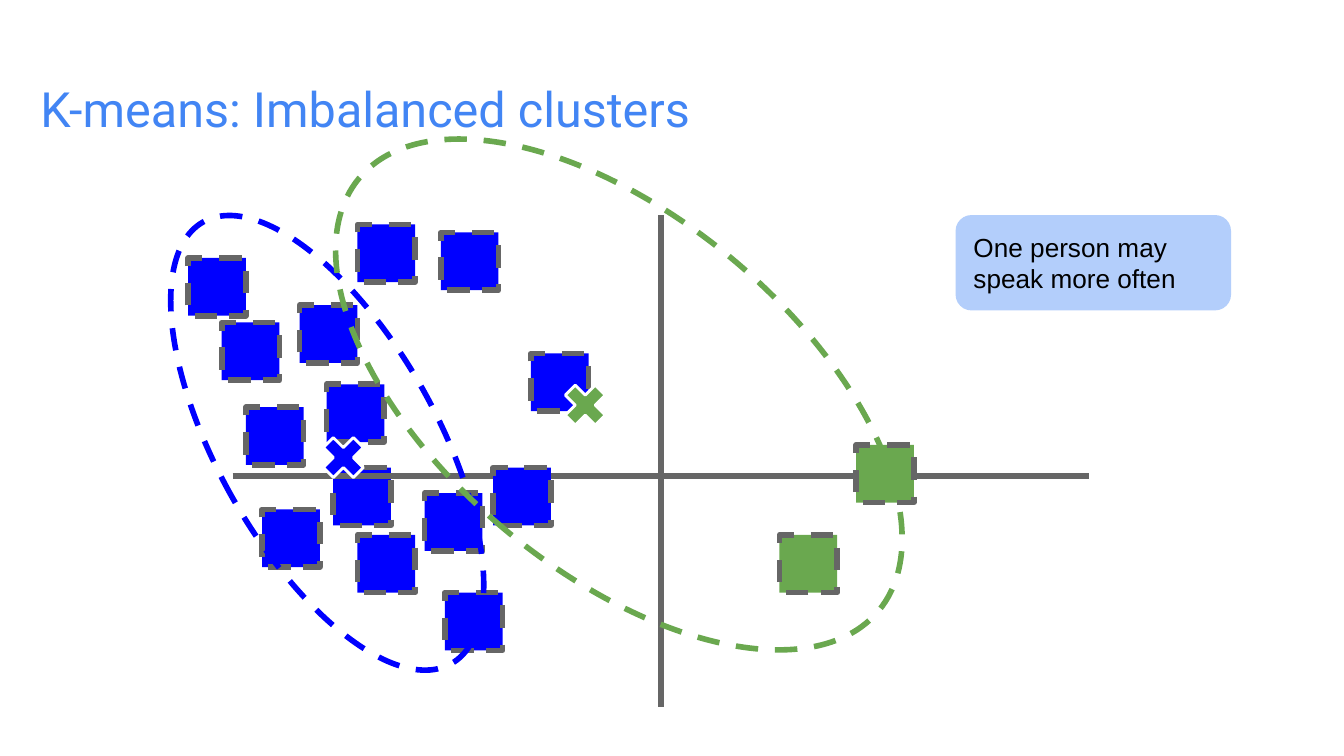
import pptx
import pptx.util
import pptx.dml.color
import pptx.enum.dml
import pptx.enum.shapes
import pptx.enum.text
import pptx.oxml.ns
from dataclasses import dataclass
from lxml import etree

Inches = pptx.util.Inches
Shape = pptx.enum.shapes.MSO_SHAPE
Anchor = pptx.enum.text.MSO_ANCHOR


@dataclass(frozen=True)
class Theme:
    title: str = "4285F4"
    note: str = "B3CEFB"
    text: str = "000000"
    axis: str = "666666"
    blue: str = "0000FF"
    green: str = "6AA84F"
    white: str = "FFFFFF"
    title_font: str = "Roboto"
    body_font: str = "Arial"
    title_size: int = 26
    body_size: int = 14
    stroke: float = 3
    thin_stroke: float = 1.5


THEME = Theme()
POINT_SIZE = 0.43
POINTS_BEHIND_AXES = [
    (5.8, 3.98, THEME.green),
    (3.16, 3.67, THEME.blue),
    (2.43, 2.86, THEME.blue),
    (2.23, 2.27, THEME.blue),
    (2.48, 3.48, THEME.blue),
]
POINTS_OVER_AXES = [
    (2.66, 3.98, THEME.blue),
    (1.95, 3.79, THEME.blue),
    (1.83, 3.03, THEME.blue),
    (1.65, 2.4, THEME.blue),
    (6.37, 3.31, THEME.green),
    (3.31, 4.41, THEME.blue),
    (1.4, 1.92, THEME.blue),
    (3.28, 1.73, THEME.blue),
    (2.66, 1.67, THEME.blue),
    (3.95, 2.63, THEME.blue),
    (3.67, 3.48, THEME.blue),
]


def rgb(value):
    return pptx.dml.color.RGBColor.from_string(value)


def write_text(holder, text, *, font, size, color, anchor=Anchor.MIDDLE):
    frame = holder.text_frame
    frame.word_wrap = True
    frame.auto_size = pptx.enum.text.MSO_AUTO_SIZE.NONE
    frame.vertical_anchor = anchor
    frame.margin_left = frame.margin_right = Inches(0.1)
    frame.margin_top = frame.margin_bottom = Inches(0.1)
    paragraph = frame.paragraphs[0]
    paragraph.alignment = pptx.enum.text.PP_ALIGN.LEFT
    run = paragraph.add_run()
    run.text = text
    run.font.name = font
    run.font.size = pptx.util.Pt(size)
    run.font.color.rgb = rgb(color)


def draw_shape(slide, kind, box, *, fill=None, line=None, width=THEME.stroke,
               dashed=False, adjustment=None, rotation=0):
    shape = slide.shapes.add_shape(kind, *map(Inches, box))
    shape.shadow.inherit = False
    shape.rotation = rotation
    if adjustment is not None:
        shape.adjustments[0] = adjustment
    if fill:
        shape.fill.solid()
        shape.fill.fore_color.rgb = rgb(fill)
    else:
        shape.fill.background()
    if line:
        shape.line.color.rgb = rgb(line)
        shape.line.width = pptx.util.Pt(width)
    else:
        shape.line.fill.background()
    if dashed:
        shape.line.dash_style = pptx.enum.dml.MSO_LINE.DASH
    return shape


def draw_points(slide, points):
    for left, top, color in points:
        draw_shape(slide, Shape.RECTANGLE, (left, top, POINT_SIZE, POINT_SIZE),
                   fill=color, line=THEME.axis, dashed=True)


def draw_axis(slide, start, end):
    axis = slide.shapes.add_connector(
        pptx.enum.shapes.MSO_CONNECTOR.STRAIGHT, *map(Inches, start + end))
    axis.line.color.rgb = rgb(THEME.axis)
    axis.line.width = pptx.util.Pt(THEME.stroke)
    etree.SubElement(axis._element.spPr, pptx.oxml.ns.qn("a:effectLst"))


def draw_centroid(slide, left, top, color):
    draw_shape(slide, Shape.MATH_MULTIPLY, (left, top, POINT_SIZE, POINT_SIZE),
               fill=color, line=THEME.white, width=THEME.thin_stroke,
               adjustment=0.244)


def draw_cluster(slide, box, color, rotation):
    draw_shape(slide, Shape.OVAL, box, line=color, dashed=True,
               rotation=rotation)


def add_title(slide, text):
    title = slide.shapes.title
    title.left, title.top = Inches(0.2), Inches(0.49)
    title.width, title.height = Inches(9.6), Inches(0.63)
    write_text(title, text, font=THEME.title_font, size=THEME.title_size,
               color=THEME.title)


def add_note(slide, text):
    note = draw_shape(slide, Shape.ROUNDED_RECTANGLE, (7.11, 1.6, 2.05, 0.71),
                      fill=THEME.note, adjustment=0.167)
    write_text(note, text, font=THEME.body_font, size=THEME.body_size,
               color=THEME.text)


def main():
    deck = pptx.Presentation()
    deck.slide_width, deck.slide_height = Inches(10), Inches(10 * 9 / 16)
    slide = deck.slides.add_slide(deck.slide_layouts.get_by_name("Title Only"))

    add_title(slide, "K-means: Imbalanced clusters")
    add_note(slide, "One person may speak more often")
    draw_points(slide, POINTS_BEHIND_AXES)
    draw_axis(slide, (1.73, 3.54), (8.1, 3.54))
    draw_axis(slide, (4.92, 5.26), (4.92, 1.6))
    draw_points(slide, POINTS_OVER_AXES)
    draw_cluster(slide, (1.62, 1.41, 1.63, 3.77), THEME.blue, 330.7)
    draw_centroid(slide, 2.34, 3.19, THEME.blue)
    draw_centroid(slide, 4.14, 2.8, THEME.green)
    draw_cluster(slide, (3.29, 0.42, 2.63, 5.03), THEME.green, 309.8)

    deck.save("out.pptx")


if __name__ == "__main__":
    main()
